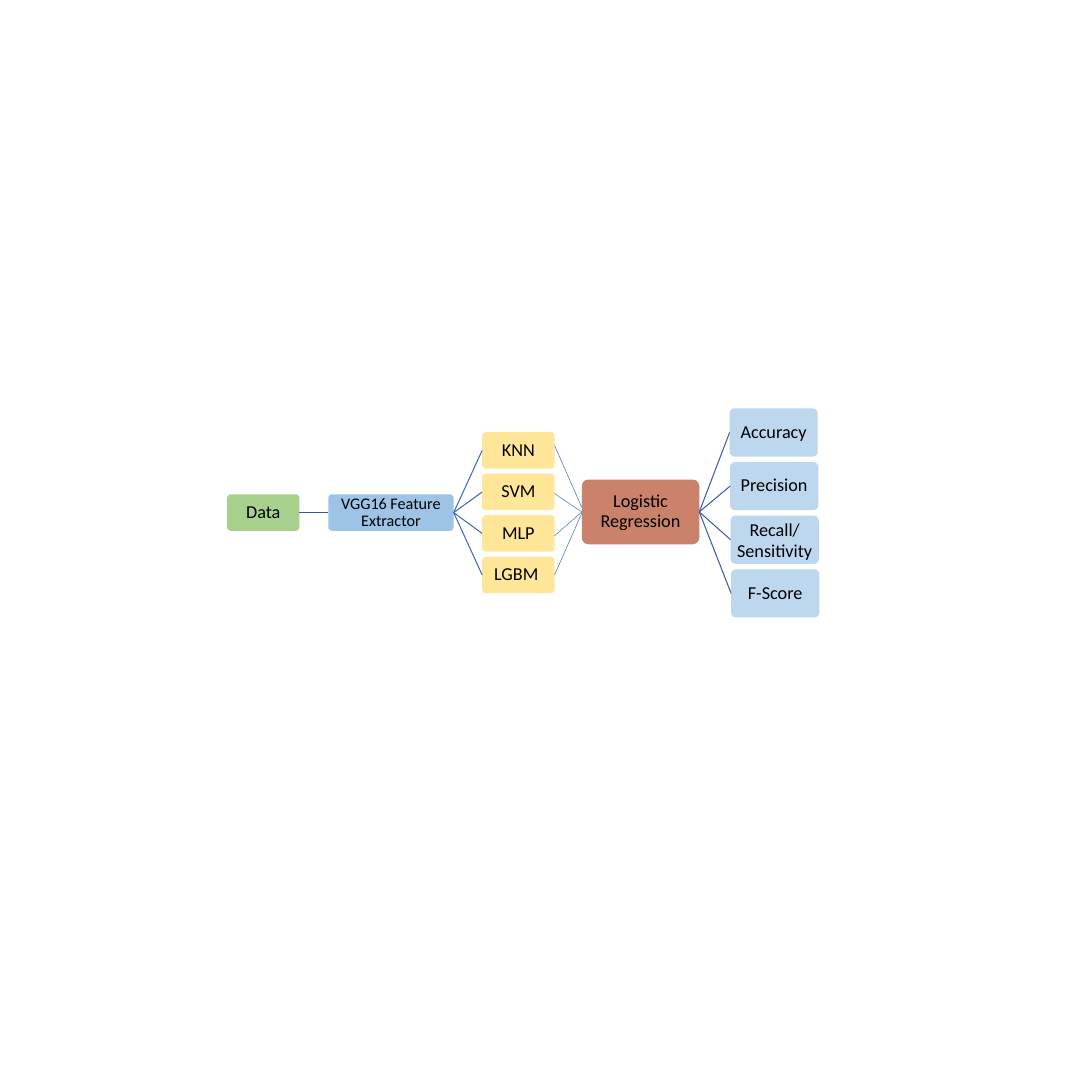
"""Builds a one-slide flow diagram of a stacked image classifier and its metrics."""
import pptx
import pptx.dml.color
import pptx.enum.shapes
import pptx.enum.text
import pptx.oxml.ns
import pptx.util
from lxml import etree

Pt = pptx.util.Pt
COLORS = {
    "data": "A9D18E", "extractor": "9DC3E6", "classifier": "FFE699",
    "regression": "CB826B", "metric": "BDD7EE", "text": "000000",
    "main": "365B9D", "branch": "3E67B2", "merge": "4472C4",
}

prs = pptx.Presentation()
prs.slide_width = prs.slide_height = Pt(1080)
s = prs.slides.add_slide(prs.slide_layouts[6])


def add_box(text, left, top, width, height, color, size=18, spacing=0.9):
    sp = s.shapes.add_shape(pptx.enum.shapes.MSO_SHAPE.ROUNDED_RECTANGLE,
                            Pt(left), Pt(top), Pt(width), Pt(height))
    sp.adjustments[0] = 0.1
    sp.shadow.inherit = False
    sp.fill.solid()
    sp.fill.fore_color.rgb = pptx.dml.color.RGBColor.from_string(COLORS[color])
    sp.line.fill.background()
    tf = sp.text_frame
    tf.word_wrap = True
    tf.vertical_anchor = pptx.enum.text.MSO_ANCHOR.MIDDLE
    tf.margin_left = tf.margin_right = tf.margin_top = tf.margin_bottom = Pt(1)
    tf.text = text
    for p in tf.paragraphs:
        p.alignment = pptx.enum.text.PP_ALIGN.CENTER
        p.line_spacing = spacing
        for r in p.runs:
            r.font.name = "Calibri"
            r.font.size = Pt(size)
            r.font.color.rgb = pptx.dml.color.RGBColor.from_string(COLORS["text"])
    return sp


def add_link(start, end, color, width=1):
    points = [v if isinstance(v, tuple) else (0, 0) for v in (start, end)]
    cn = s.shapes.add_connector(pptx.enum.shapes.MSO_CONNECTOR.STRAIGHT,
                                *[Pt(v) for point in points for v in point])
    if not isinstance(start, tuple):
        cn.begin_connect(start, 3)
    if not isinstance(end, tuple):
        cn.end_connect(end, 1)
    cn.line.color.rgb = pptx.dml.color.RGBColor.from_string(COLORS[color])
    cn.line.width = Pt(width)
    etree.SubElement(cn._element.spPr, pptx.oxml.ns.qn("a:effectLst"))


data = add_box("Data", 224.6, 489, 71.6, 36, "data")
extractor = add_box("VGG16 Feature Extractor", 324.7, 489, 124, 36, "extractor", size=16)
regression = add_box("Logistic Regression", 575.4, 474.3, 116.2, 64, "regression")
add_link(data, extractor, "main")

classifiers = []
for i, name in enumerate(["KNN", "SVM", "MLP", "LGBM "]):
    classifier = add_box(name, 476.9, 427.5 + 41.04 * i, 71.6, 36, "classifier")
    add_link(extractor, classifier, "branch")
    classifiers.append(classifier)

for i, name in enumerate(["Accuracy", "Precision", "Recall/\nSensitivity", "F-Score"]):
    metric = add_box(name, 721.6 + 0.5 * i, 403.9 + 53.05 * i, 87.2, 47.6, "metric",
                     spacing=1 if "\n" in name else 0.9)
    add_link(regression, metric, "main")

for start, end in [
    ((548.5, 440.6), (575.4, 501.8)),
    ((548.5, 488.2), regression),
    ((548.5, 529.9), regression),
    (classifiers[-1], (575.4, 507.6)),
]:
    add_link(start, end, "merge", width=0.5)

prs.save("out.pptx")
